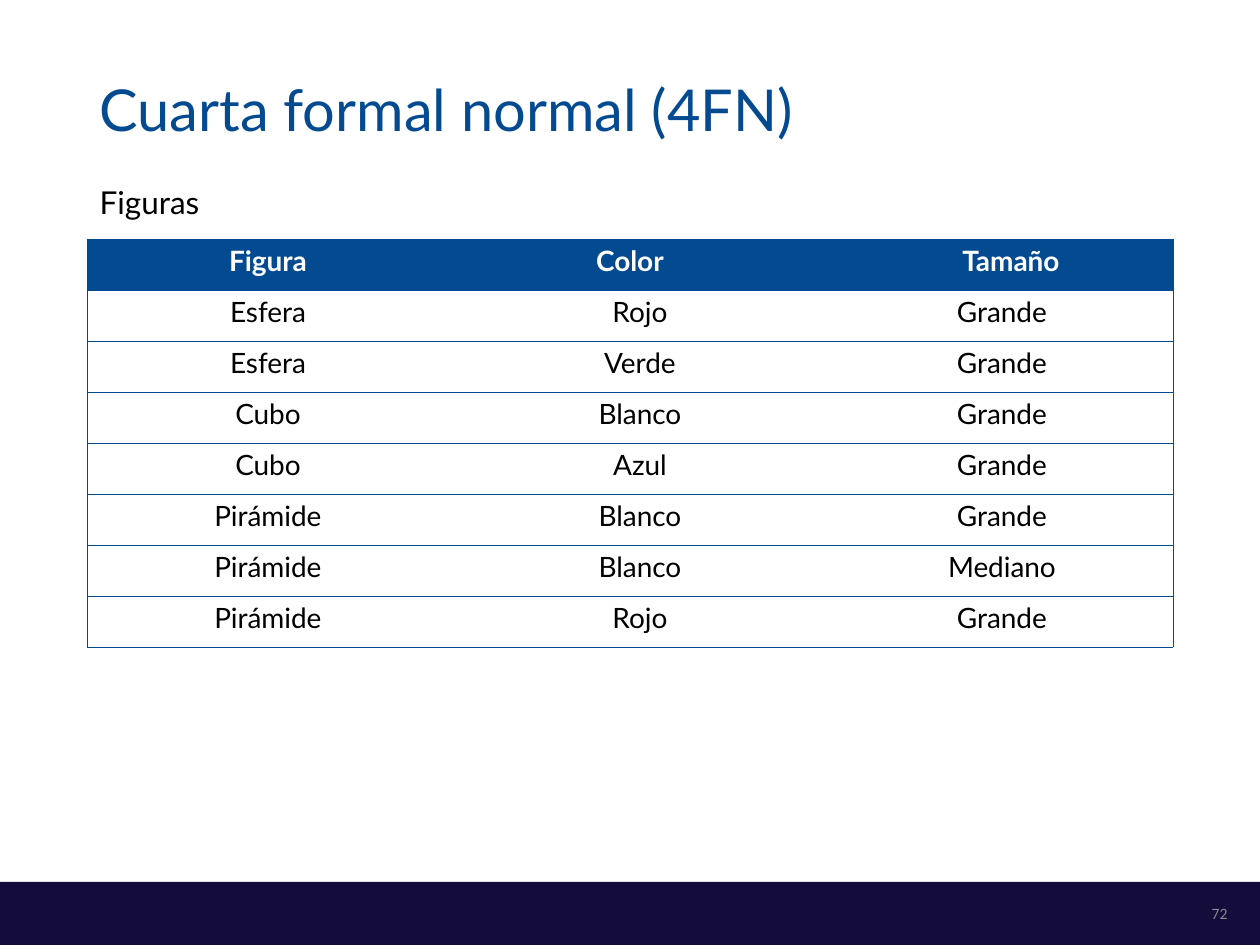
from dataclasses import dataclass
from typing import Any

from lxml import etree
from pptx import Presentation
from pptx import util as u
from pptx.dml.color import RGBColor
from pptx.enum import shapes, text
from pptx.oxml.ns import qn

PX = 914400 / 126
COLORS = {"blue": "034A90", "navy": "140D3B", "black": "000000",
          "white": "FFFFFF", "gray": "898989"}
ROW_HEIGHT = 51
COLUMN_WIDTH = 362
HEADERS = ("Figura", "Color", "Tamaño")
FIGURES = (
    ("Esfera", "Rojo", "Grande"),
    ("Esfera", "Verde", "Grande"),
    ("Cubo", "Blanco", "Grande"),
    ("Cubo", "Azul", "Grande"),
    ("Pirámide", "Blanco", "Grande"),
    ("Pirámide", "Blanco", "Mediano"),
    ("Pirámide", "Rojo", "Grande"),
)
# Left indent of each column, in px
HEADER_INDENTS = (0, 0, 38)
BODY_INDENTS = (0, 20, 20)


@dataclass
class Style:
    size: int
    color: str
    font: str = "Lato"
    bold: bool = False
    align: text.PP_ALIGN = text.PP_ALIGN.LEFT
    spacing: Any = 1.0
    indent: int = 0


def px(length: int) -> int:
    return round(length * PX)


def apply(target: Any, values: dict) -> None:
    for name, value in values.items():
        setattr(target, name, value)


def place(shape: Any, left: int, top: int, width: int, height: int) -> None:
    apply(shape, {"left": px(left), "top": px(top),
                  "width": px(width), "height": px(height)})


def write(frame: Any, words: str, style: Style) -> None:
    frame.text = words
    paragraph = frame.paragraphs[0]
    properties = paragraph._p.get_or_add_pPr()
    properties.set("marL", str(px(style.indent)))
    properties.set("indent", "0")
    apply(paragraph, {"alignment": style.align, "space_before": u.Pt(0),
                      "line_spacing": style.spacing})
    etree.SubElement(properties, qn("a:buNone"))
    font = paragraph.runs[0].font
    apply(font, {"name": style.font, "size": u.Pt(style.size), "bold": style.bold})
    font.color.rgb = RGBColor.from_string(COLORS[style.color])


def write_box(shape: Any, words: str, style: Style, anchor: text.MSO_ANCHOR) -> None:
    apply(shape.text_frame, {"word_wrap": True, "vertical_anchor": anchor,
                             "auto_size": text.MSO_AUTO_SIZE.NONE})
    write(shape.text_frame, words, style)


def set_borders(cell: Any, visible: str) -> None:
    properties = cell._tc.get_or_add_tcPr()
    for position, side in enumerate("LRTB"):
        line = etree.Element(qn(f"a:ln{side}"), w=str(u.Pt(0.5)))
        if side in visible:
            fill = etree.SubElement(line, qn("a:solidFill"))
            etree.SubElement(fill, qn("a:srgbClr"), val=COLORS["blue"])
        else:
            etree.SubElement(line, qn("a:noFill"))
        properties.insert(position, line)


def fill_cell(cell: Any, words: str, column: int, is_header: bool) -> None:
    indents = HEADER_INDENTS if is_header else BODY_INDENTS
    apply(cell, {"margin_left": px(9), "margin_right": px(9), "margin_top": 0,
                 "margin_bottom": 0, "vertical_anchor": text.MSO_ANCHOR.MIDDLE})
    if is_header:
        cell.fill.solid()
        cell.fill.fore_color.rgb = RGBColor.from_string(COLORS["blue"])
    else:
        cell.fill.background()
    write(cell.text_frame, words,
          Style(16, "white" if is_header else "black", bold=is_header,
                align=text.PP_ALIGN.CENTER, spacing=u.Pt(14.4),
                indent=indents[column]))
    set_borders(cell, "TB" + {0: "L", len(HEADERS) - 1: "R"}.get(column, ""))


def add_figures_table(slide: Any, left: int, top: int) -> None:
    rows = (HEADERS, *FIGURES)
    table = slide.shapes.add_table(
        len(rows), len(HEADERS), px(left), px(top),
        px(COLUMN_WIDTH * len(HEADERS)), px(ROW_HEIGHT * len(rows))).table
    table.horz_banding = False
    for row, words in enumerate(rows):
        for column, word in enumerate(words):
            fill_cell(table.cell(row, column), word, column, row == 0)


def main() -> None:
    deck = Presentation()
    apply(deck, {"slide_width": px(1260), "slide_height": px(945)})
    slide = deck.slides.add_slide(deck.slide_layouts[1])

    # Footer band and page number
    footer = slide.shapes.add_shape(shapes.MSO_SHAPE.RECTANGLE, 0, px(882),
                                    px(1260), px(63))
    footer.shadow.inherit = False
    footer.fill.solid()
    footer.fill.fore_color.rgb = RGBColor.from_string(COLORS["navy"])
    footer.line.fill.background()
    page_number = slide.shapes.add_textbox(px(1079), px(888), px(161), px(50))
    write_box(page_number, "72",
              Style(9, "gray", font="Calibri", align=text.PP_ALIGN.RIGHT),
              text.MSO_ANCHOR.MIDDLE)

    # Title and table caption
    title, caption = slide.placeholders
    place(title, 87, 50, 1086, 126)
    write_box(title, "Cuarta formal normal (4FN)", Style(33, "blue", spacing=0.9),
              text.MSO_ANCHOR.MIDDLE)
    place(caption, 87, 181, 1086, 50)
    write_box(caption, "Figuras", Style(18, "black", spacing=0.9),
              text.MSO_ANCHOR.TOP)

    # Table of figures
    add_figures_table(slide, 87, 239)
    deck.save("out.pptx")


if __name__ == "__main__":
    main()
